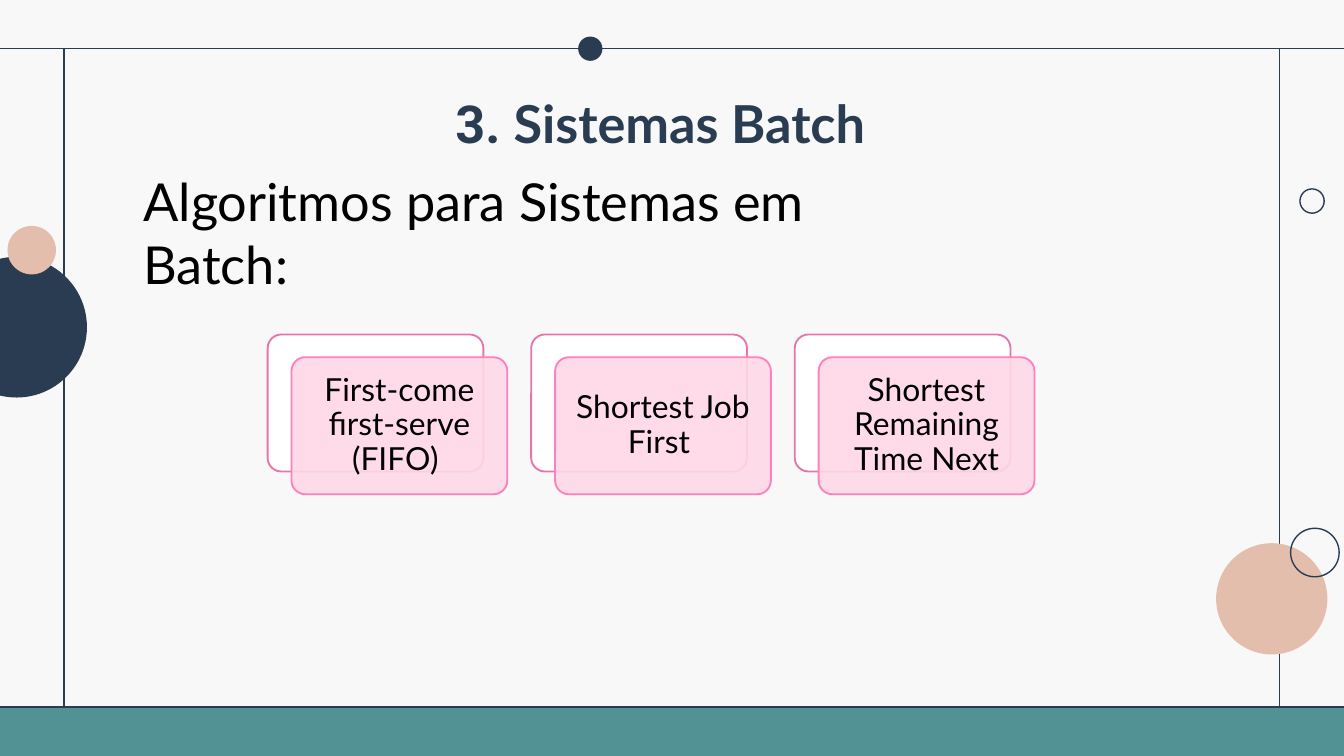
"""Build the slide on scheduling algorithms for batch systems."""
from lxml import etree
from pptx import Presentation
from pptx import util as u
from pptx.dml.color import RGBColor
from pptx.enum import shapes, text
from pptx.oxml.ns import qn

NAVY, TEAL, SAND, BLACK = "293C51", "539294", "E4BEAC", "000000"
TITLE = [("3. ", "Roboto"), ("Sistemas Batch", "Lato")]
SUBTITLE = "Algoritmos para Sistemas em Batch:"
ALGORITHMS = [
    "First-come first-serve (FIFO) ",
    "Shortest Job First ",
    "Shortest Remaining Time Next",
]
WIDTH, HEIGHT = 720, 405
TOP, BOTTOM, LEFT, RIGHT = 26, 378.7, 34.4, 685.4
RULES = [
    (0, BOTTOM, WIDTH, BOTTOM),
    (0, TOP, WIDTH, TOP),
    (RIGHT, TOP, RIGHT, BOTTOM),
    (LEFT, TOP, LEFT, BOTTOM),
]
CIRCLES = [
    (651.5, 291, 59.6, SAND, None),
    (691.4, 283, 26, None, NAVY),
    (-28.8, 137.6, 75.4, NAVY, None),
    (4, 121, 26, SAND, None),
    (696.4, 101.2, 13, None, NAVY),
    (309.7, 19.6, 13, NAVY, None),
]
CARD_LEFT, CARD_TOP, CARD_WIDTH, CARD_HEIGHT = 143.4, 179.2, 115.6, 73.4
CARD_PITCH, CARD_SHIFT_X, CARD_SHIFT_Y = 141.2, 12.8, 12.2


def color(value):
    return RGBColor.from_string(value)


def add_shape(slide, kind, box, fill=None, line=None, weight=0.75):
    shape = slide.shapes.add_shape(kind, *map(u.Pt, box))
    shape.shadow.inherit = False
    if fill:
        shape.fill.solid()
        shape.fill.fore_color.rgb = color(fill)
    else:
        shape.fill.background()
    if line:
        shape.line.color.rgb = color(line)
        shape.line.width = u.Pt(weight)
    else:
        shape.line.fill.background()
    return shape


def add_rule(slide, ends):
    rule = slide.shapes.add_connector(shapes.MSO_CONNECTOR.STRAIGHT, *map(u.Pt, ends))
    rule.line.color.rgb = color(NAVY)
    rule.line.width = u.Pt(0.75)
    etree.SubElement(rule._element.spPr, qn("a:effectLst"))


def add_run(paragraph, words, size, fill, font="Lato", bold=False):
    run = paragraph.add_run()
    run.text = words
    run.font.name = font
    run.font.size = u.Pt(size)
    run.font.bold = bold
    run.font.color.rgb = color(fill)


def set_frame(frame, inset_x, inset_y, anchor):
    frame.word_wrap = True
    frame.auto_size = text.MSO_AUTO_SIZE.NONE
    frame.vertical_anchor = anchor
    frame.margin_left = frame.margin_right = u.Pt(inset_x)
    frame.margin_top = frame.margin_bottom = u.Pt(inset_y)
    return frame.paragraphs[0]


def add_card(slide, index, label):
    left = CARD_LEFT + index * CARD_PITCH
    rounded = shapes.MSO_SHAPE.ROUNDED_RECTANGLE
    back = add_shape(slide, rounded, (left, CARD_TOP, CARD_WIDTH, CARD_HEIGHT), "FFFFFF", "E774AC", 1)
    front_box = (left + CARD_SHIFT_X, CARD_TOP + CARD_SHIFT_Y, CARD_WIDTH, CARD_HEIGHT)
    front = add_shape(slide, rounded, front_box, "FFD8E8", "FF80BD", 1)
    for shape in (back, front):
        shape.adjustments[0] = 0.1
    fill = front._element.spPr.find(qn("a:solidFill"))
    etree.SubElement(fill[0], qn("a:alpha"), val="90000")
    paragraph = set_frame(front.text_frame, 7, 7, text.MSO_ANCHOR.MIDDLE)
    paragraph.alignment = text.PP_ALIGN.CENTER
    paragraph.line_spacing = 0.9
    add_run(paragraph, label, 17, BLACK)


def main():
    presentation = Presentation()
    presentation.slide_width, presentation.slide_height = u.Pt(WIDTH), u.Pt(HEIGHT)
    slide = presentation.slides.add_slide(presentation.slide_layouts[5])
    slide.background.fill.solid()
    slide.background.fill.fore_color.rgb = color("F8F8F8")

    add_shape(slide, shapes.MSO_SHAPE.RECTANGLE, (0, BOTTOM, WIDTH, HEIGHT - BOTTOM), TEAL)
    for ends in RULES:
        add_rule(slide, ends)
    for left, top, size, fill, line in CIRCLES:
        add_shape(slide, shapes.MSO_SHAPE.OVAL, (left, top, size, size), fill, line)

    title = slide.shapes.title
    title.left, title.top, title.width, title.height = map(u.Pt, (236.8, 41.8, 247, 45.4))
    paragraph = set_frame(title.text_frame, 7.2, 7.2, text.MSO_ANCHOR.TOP)
    paragraph.alignment = text.PP_ALIGN.LEFT
    for words, font in TITLE:
        add_run(paragraph, words, 28, NAVY, font, True)

    subtitle = slide.shapes.add_textbox(*map(u.Pt, (69.8, 87.2, 375, 75)))
    paragraph = set_frame(subtitle.text_frame, 7.2, 3.6, text.MSO_ANCHOR.TOP)
    add_run(paragraph, SUBTITLE, 28, BLACK)

    for index, label in enumerate(ALGORITHMS):
        add_card(slide, index, label)
    presentation.save("out.pptx")


if __name__ == "__main__":
    main()
